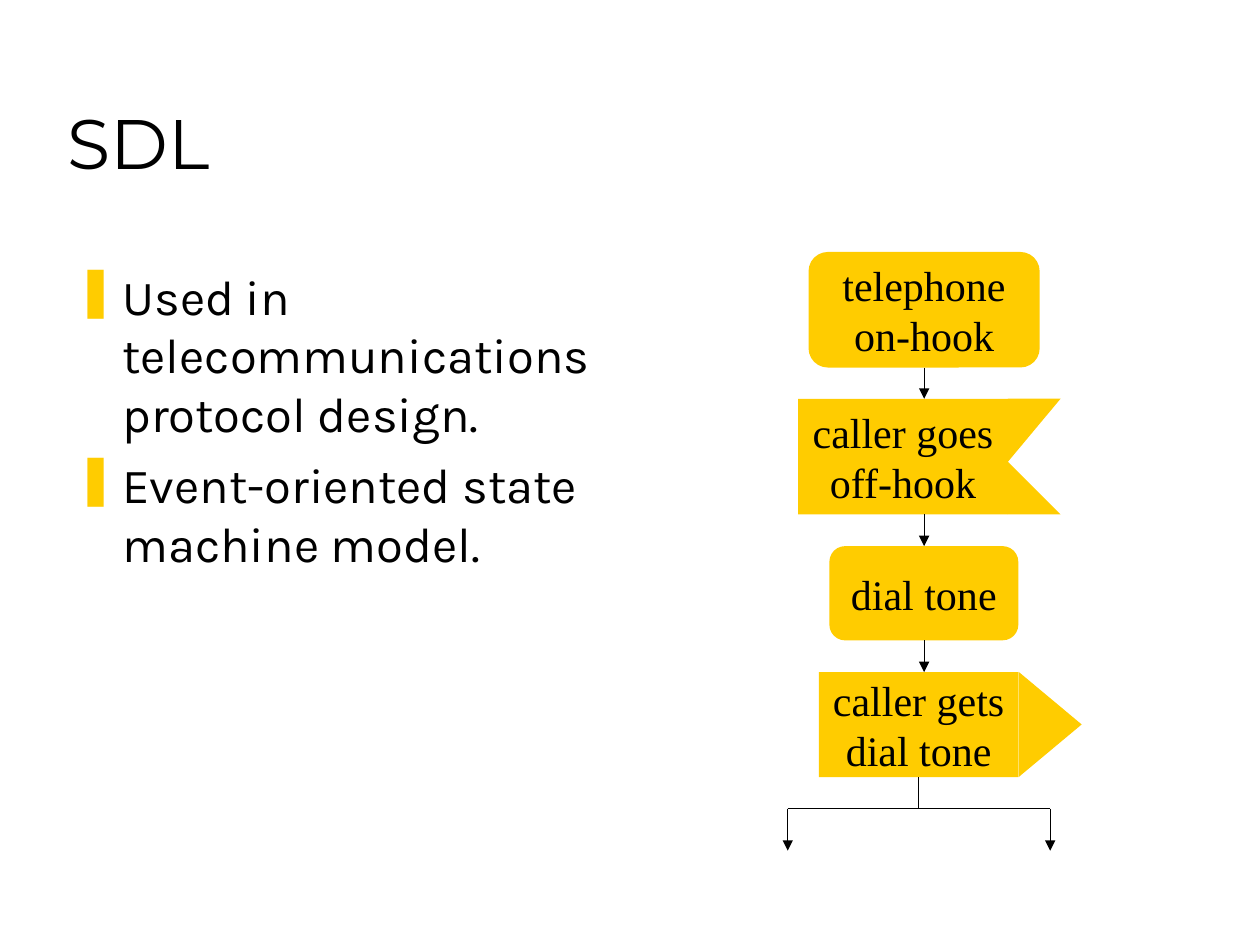
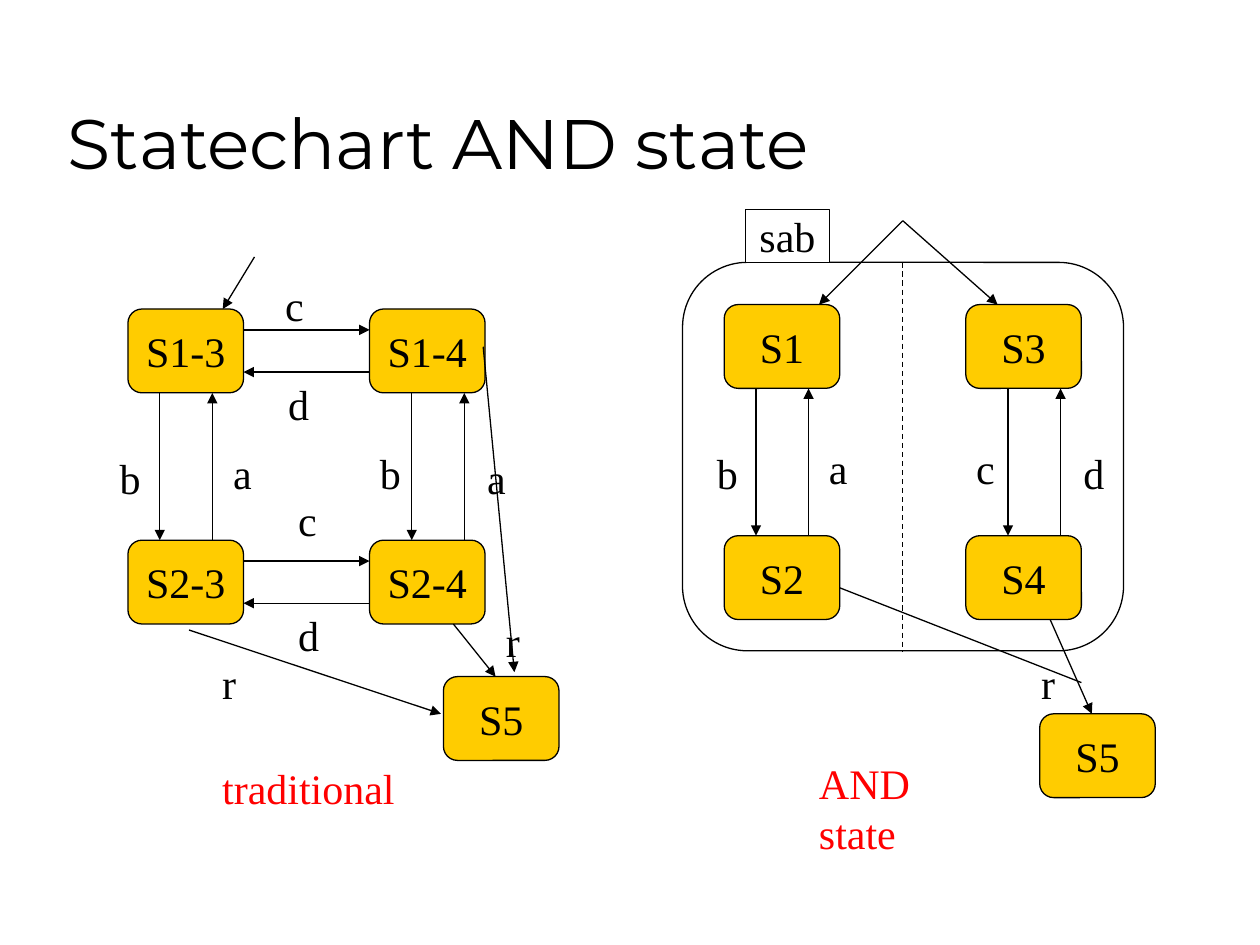
from dataclasses import dataclass

from lxml import etree
from pptx import Presentation
from pptx.dml.color import RGBColor
from pptx.enum.dml import MSO_LINE
from pptx.enum.shapes import MSO_CONNECTOR, MSO_SHAPE
from pptx.enum.text import MSO_ANCHOR, MSO_AUTO_SIZE, PP_ALIGN
from pptx.oxml.ns import qn
from pptx.util import Cm, Pt

ROUND = MSO_SHAPE.ROUNDED_RECTANGLE
RECT = MSO_SHAPE.RECTANGLE
WEDGE = MSO_SHAPE.RIGHT_TRIANGLE
POINT = MSO_SHAPE.ISOSCELES_TRIANGLE
STRAIGHT = MSO_CONNECTOR.STRAIGHT
DASH = MSO_LINE.DASH
LEFT, CENTER = PP_ALIGN.LEFT, PP_ALIGN.CENTER
MIDDLE, BOTTOM = MSO_ANCHOR.MIDDLE, MSO_ANCHOR.BOTTOM
FIXED = MSO_AUTO_SIZE.NONE


@dataclass(frozen=True)
class Theme:
    ink: str = "000000"
    gold: str = "FFCC00"
    paper: str = "FFFFFF"
    red: str = "FF0000"
    head: str = "Montserrat"
    body: str = "Karla"
    chart: str = "Times New Roman"
    head_size: int = 40
    body_size: int = 28
    chart_size: int = 24
    line: float = 0.75


THEME = Theme()

# State size and the steps between states, in cm
BOX_W, BOX_H = 2.33, 1.69
STEP_X, STEP_Y = 4.87, 4.66


def rgb(code):
    return RGBColor.from_string(code)


def cms(*sizes):
    return [Cm(size) for size in sizes]


def style(para, face, size, color=THEME.ink, align=LEFT):
    para.alignment = align
    font = para.font
    font.name, font.size = face, Pt(size)
    font.color.rgb = rgb(color)


def add_slide(deck, title):
    slide = deck.slides.add_slide(deck.slide_layouts[5])
    head = slide.shapes.title
    head.left, head.top, head.width, head.height = cms(1.11, 0.64, 21.59, 3.18)
    frame = head.text_frame
    frame.text = title
    frame.auto_size = FIXED
    frame.vertical_anchor = BOTTOM
    style(frame.paragraphs[0], THEME.head, THEME.head_size)
    return slide


def add_list(slide, items, x, y, w, h):
    frame = slide.shapes.add_textbox(*cms(x, y, w, h)).text_frame
    frame.word_wrap = True
    frame.text = "\n".join(items)
    for i, para in enumerate(frame.paragraphs):
        props = para._p.get_or_add_pPr()
        props.set("marL", str(Cm(0.95)))
        props.set("indent", str(Cm(-0.95)))
        tint = etree.SubElement(props, qn("a:buClr"))
        etree.SubElement(tint, qn("a:srgbClr"), val=THEME.gold)
        etree.SubElement(props, qn("a:buChar"), char="❚")
        if i:
            para.space_before = Pt(7)
        style(para, THEME.body, THEME.body_size)


def add_box(slide, kind, x, y, w, h, text="", fill=THEME.gold, edge=True):
    box = slide.shapes.add_shape(kind, *cms(x, y, w, h))
    box.shadow.inherit = False
    box.fill.solid()
    box.fill.fore_color.rgb = rgb(fill)
    if edge:
        box.line.color.rgb = rgb(THEME.ink)
        box.line.width = Pt(THEME.line)
    else:
        box.line.fill.background()
    if kind == ROUND:
        box.adjustments[0] = 0.167
    if text:
        frame = box.text_frame
        frame.text = text
        frame.word_wrap = False
        frame.vertical_anchor = MIDDLE
        for para in frame.paragraphs:
            style(para, THEME.chart, THEME.chart_size, align=CENTER)
    return box


def add_line(slide, x1, y1, x2, y2, arrow=True, dash=None):
    link = slide.shapes.add_connector(STRAIGHT, *cms(x1, y1, x2, y2))
    link.line.color.rgb = rgb(THEME.ink)
    link.line.width = Pt(THEME.line)
    if dash:
        link.line.dash_style = dash
    if arrow:
        etree.SubElement(link.get_or_add_ln(), qn("a:tailEnd"), type="triangle")
    etree.SubElement(link._element.spPr, qn("a:effectLst"))


def add_label(slide, text, x, y, w=0.9, color=THEME.ink):
    frame = slide.shapes.add_textbox(*cms(x, y, w, 1.27)).text_frame
    frame.word_wrap = False
    frame.text = text
    style(frame.paragraphs[0], THEME.chart, THEME.chart_size, color)


def add_state(slide, name, x, y):
    add_box(slide, ROUND, x, y, BOX_W, BOX_H, name)


def add_quad(slide, x, y, names):
    """Draw two rows of two states, with a down and an up arrow per column."""
    for i, name in enumerate(names):
        row, col = divmod(i, 2)
        add_state(slide, name, x + col * STEP_X, y + row * STEP_Y)
    top, base = y + BOX_H, y + STEP_Y
    for left in (x + 0.64, x + 5.72):
        add_line(slide, left, top, left, base)
        add_line(slide, left + 1.06, base, left + 1.06, top)


def build_sdl(deck):
    slide = add_slide(deck, "SDL")
    add_list(slide, ["Used in telecommunications protocol design.",
                     "Event-oriented state machine model."],
             1.27, 5.24, 11.15, 11.58)

    steps = [
        (ROUND, 16.3, 5.08, 4.66, 2.33, "telephone\non-hook"),
        (RECT, 16.09, 8.04, 4.23, 2.33, "caller goes\noff-hook"),
        (ROUND, 16.72, 11.01, 3.81, 1.9, "dial tone"),
        (RECT, 16.51, 13.55, 4.02, 2.12, "caller gets\ndial tone"),
    ]
    for step in steps:
        add_box(slide, *step, edge=False)
    upper = add_box(slide, WEDGE, 20.32, 8.04, 1.06, 1.27, edge=False)
    upper._element.spPr.xfrm.set("flipV", "1")
    add_box(slide, WEDGE, 20.32, 9.31, 1.06, 1.06, edge=False)
    tip = add_box(slide, POINT, 20.11, 13.97, 2.12, 1.27, edge=False)
    tip.rotation = 90

    for above, below in zip(steps, steps[1:]):
        add_line(slide, 18.63, above[2] + above[4], 18.63, below[2])

    left, mid, right, fork = 15.88, 18.52, 21.17, 16.3
    add_line(slide, mid, 15.67, mid, fork, arrow=False)
    add_line(slide, left, fork, right, fork, arrow=False)
    for end in (left, right):
        add_line(slide, end, fork, end, 17.15)


def build_and(deck):
    slide = add_slide(deck, "Statechart AND state")
    add_box(slide, ROUND, 13.76, 5.29, 8.89, 7.83, fill=THEME.paper)
    add_line(slide, 18.2, 5.29, 18.2, 13.12, arrow=False, dash=DASH)
    add_box(slide, RECT, 15.03, 4.23, 1.69, 1.06, "sab", fill=THEME.paper)

    x, y = 2.58, 6.23
    add_quad(slide, x, y, ["S1-3", "S1-4", "S2-3", "S2-4"])
    near, far = x + BOX_W, x + STEP_X
    for row in (y, y + STEP_Y):
        add_line(slide, near, row + 0.42, far, row + 0.42)
        add_line(slide, far, row + 1.27, near, row + 1.27)
    add_quad(slide, 14.6, 6.14, ["S1", "S3", "S2", "S4"])
    add_state(slide, "S5", 8.94, 13.64)
    add_state(slide, "S5", 20.96, 14.39)

    for ends in [
        (5.13, 5.18, 4.49, 6.23),
        (9.14, 12.58, 9.99, 13.64),
        (9.74, 6.99, 10.37, 13.55),
        (3.81, 12.7, 8.89, 14.39),
        (18.2, 4.45, 16.51, 6.14),
        (18.2, 4.45, 20.11, 6.14),
        (21.17, 12.49, 22.01, 14.39),
    ]:
        add_line(slide, *ends)
    add_line(slide, 16.93, 11.85, 21.8, 13.76, arrow=False)

    for label in [
        ("c", 5.5, 5.5), ("d", 5.56, 7.5), ("b", 2.16, 8.99),
        ("a", 4.45, 8.89), ("b", 7.41, 8.89), ("a", 9.57, 8.99),
        ("c", 5.76, 9.84), ("d", 5.76, 12.17),
        ("r", 9.95, 12.28, 0.79), ("r", 4.23, 13.12, 0.79),
        ("b", 14.2, 8.89), ("a", 16.46, 8.79), ("c", 19.43, 8.79),
        ("d", 21.59, 8.89), ("r", 20.74, 13.12, 0.79),
        ("traditional", 4.23, 15.24, 3.99, THEME.red),
        ("AND state", 16.26, 15.14, 4.09, THEME.red),
    ]:
        add_label(slide, *label)


def main():
    deck = Presentation()
    deck.slide_width, deck.slide_height = cms(25.4, 19.05)
    build_sdl(deck)
    build_and(deck)
    deck.save("out.pptx")


if __name__ == "__main__":
    main()
